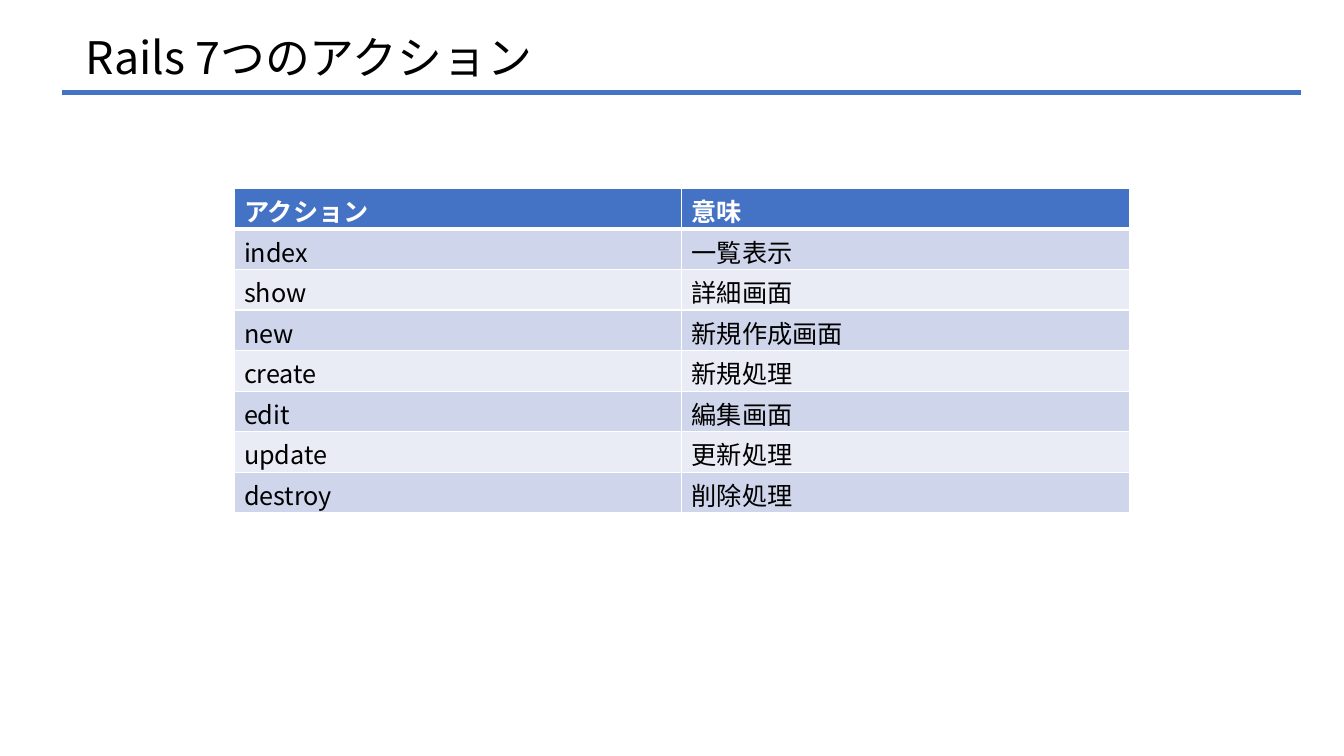
"""Build the slide on the seven Rails actions."""
from lxml.etree import SubElement
from pptx import Presentation
from pptx.dml.color import RGBColor
from pptx.enum.shapes import MSO_CONNECTOR
from pptx.enum.text import MSO_ANCHOR, PP_ALIGN
from pptx.oxml import parse_xml
from pptx.oxml.ns import nsdecls, qn
from pptx.util import Inches, Pt

TITLE = "Rails 7つのアクション"
ACTIONS = [
    ("アクション", "意味"),
    ("index", "一覧表示"),
    ("show", "詳細画面"),
    ("new", "新規作成画面"),
    ("create", "新規処理"),
    ("edit", "編集画面"),
    ("update", "更新処理"),
    ("destroy", "削除処理"),
]
FONT = "Noto Sans CJK JP"
BLACK = RGBColor(0x00, 0x00, 0x00)
WHITE = RGBColor(0xFF, 0xFF, 0xFF)
BLUE = RGBColor(0x44, 0x72, 0xC4)
BANDS = [RGBColor(0xE9, 0xEB, 0xF5), RGBColor(0xCF, 0xD5, 0xEA)]
COL_W, ROW_H = 4.44, 0.4


def write(tf, text, size, color, bold=False):
    p = tf.paragraphs[0]
    p.alignment = PP_ALIGN.LEFT
    r = p.add_run()
    r.text = text
    for name, value in {"name": FONT, "size": Pt(size), "bold": bold}.items():
        setattr(r.font, name, value)
    r.font.color.rgb = color
    SubElement(r.font._element, qn("a:ea"), typeface=FONT)


def add_borders(cell, widths):
    tcPr = cell._tc.get_or_add_tcPr()
    for i, (side, width) in enumerate(widths.items()):
        tcPr.insert(i, parse_xml(
            f'<a:ln{side} {nsdecls("a")} w="{Pt(width)}"><a:solidFill>'
            f'<a:srgbClr val="{WHITE}"/></a:solidFill></a:ln{side}>'))


prs = Presentation()
prs.slide_width, prs.slide_height = Inches(13.33), Inches(7.5)
s = prs.slides.add_slide(prs.slide_layouts[5])

title = s.shapes.title
box = {"left": 0.75, "top": 0.24, "width": 5, "height": 0.64}
for name, value in box.items():
    setattr(title, name, Inches(value))
tf = title.text_frame
layout = {"word_wrap": True, "vertical_anchor": MSO_ANCHOR.MIDDLE,
          "margin_top": 0, "margin_right": 0, "margin_bottom": 0}
for name, value in layout.items():
    setattr(tf, name, value)
write(tf, TITLE, 32, BLACK)

rule = s.shapes.add_connector(MSO_CONNECTOR.STRAIGHT, Inches(0.62), Inches(0.92),
                              Inches(12.9), Inches(0.92))
rule.line.color.rgb = BLUE
rule.line.width = Pt(3.5)
SubElement(rule._element.spPr, qn("a:effectLst"))

table = s.shapes.add_table(
    len(ACTIONS), 2, Inches(2.32), Inches(1.87), Inches(2 * COL_W),
    Inches(ROW_H * len(ACTIONS))).table
for col in table.columns:
    col.width = Inches(COL_W)
for i, texts in enumerate(ACTIONS):
    head = i == 0
    table.rows[i].height = Inches(ROW_H)
    for j, text in enumerate(texts):
        cell = table.cell(i, j)
        cell.margin_top, cell.margin_bottom = Inches(0.04), 0
        cell.fill.solid()
        cell.fill.fore_color.rgb = BLUE if head else BANDS[i % 2]
        add_borders(cell, {"L": 1, "R": 1, "T": 3 if i == 1 else 1, "B": 3 if head else 1})
        write(cell.text_frame, text, 18, WHITE if head else BLACK, head)

prs.save("out.pptx")
